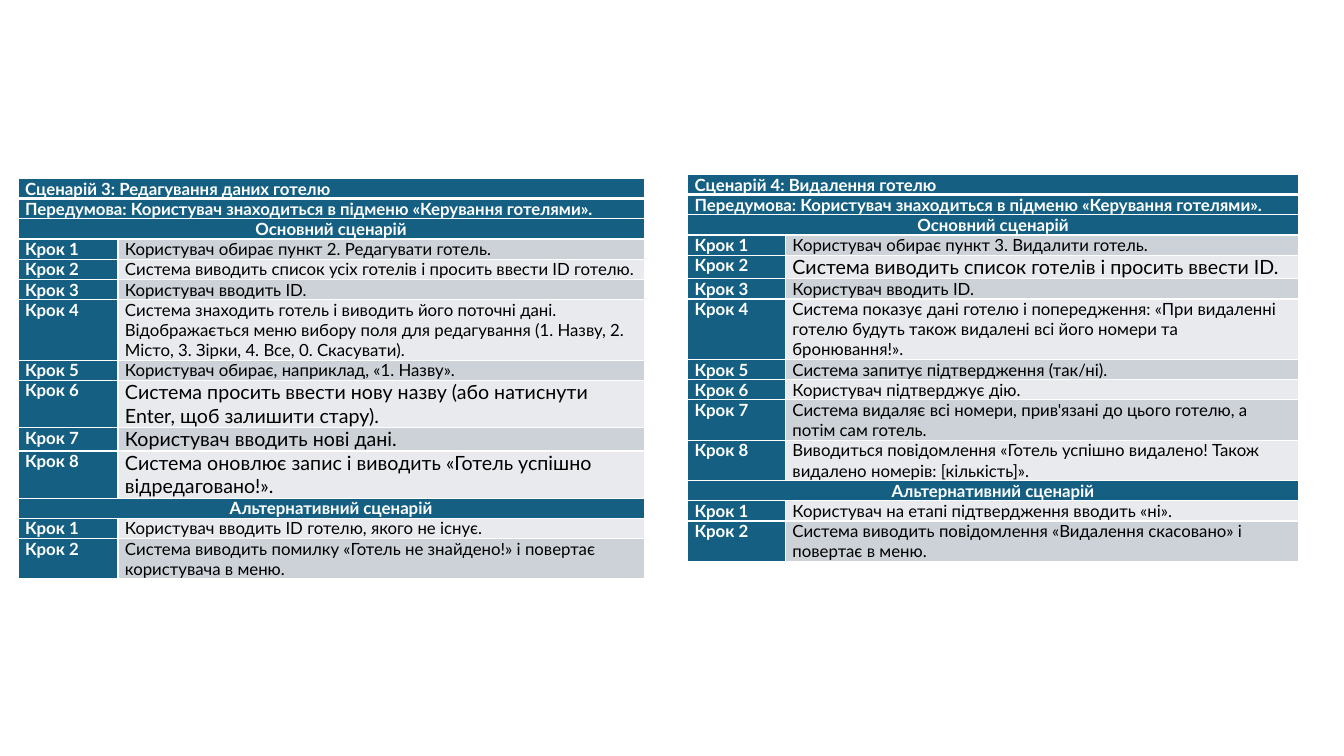
from lxml.etree import SubElement
from pptx import Presentation
from pptx.dml.color import RGBColor
from pptx.enum.text import PP_ALIGN
from pptx.oxml.ns import qn
from pptx.util import Inches, Pt

TEAL = RGBColor(0x15, 0x60, 0x82)
WHITE = RGBColor(0xFF, 0xFF, 0xFF)
BLACK = RGBColor(0x00, 0x00, 0x00)
BAND_DARK = RGBColor(0xCC, 0xD2, 0xD8)
BAND_LIGHT = RGBColor(0xE8, 0xEA, 0xED)

FONT = "Lato"
PRECONDITION = "Передумова: Користувач знаходиться в підменю «Керування готелями»."

EDIT_TITLE = "Сценарій 3: Редагування даних готелю"
EDIT_MAIN = [
    ("Користувач обирає пункт 2. Редагувати готель.", 12),
    ("Система виводить список усіх готелів і просить ввести ID готелю.", 12),
    ("Користувач вводить ID.", 12),
    ("Система знаходить готель і виводить його поточні дані. Відображається меню "
     "вибору поля для редагування (1. Назву, 2. Місто, 3. Зірки, 4. Все, 0. Скасувати).", 12),
    ("Користувач обирає, наприклад, «1. Назву».", 12),
    ("Система просить ввести нову назву (або натиснути Enter, щоб залишити стару).", 14),
    ("Користувач вводить нові дані.", 14),
    ("Система оновлює запис і виводить «Готель успішно відредаговано!».", 14),
]
EDIT_ALTERNATIVE = [
    ("Користувач вводить ID готелю, якого не існує.", 12),
    ("Система виводить помилку «Готель не знайдено!» і повертає користувача в меню.", 12),
]

DELETE_TITLE = "Сценарій 4: Видалення готелю"
DELETE_MAIN = [
    ("Користувач обирає пункт 3. Видалити готель.", 12),
    ("Система виводить список готелів і просить ввести ID.", 14),
    ("Користувач вводить ID.", 12),
    ("Система показує дані готелю і попередження: «При видаленні готелю будуть "
     "також видалені всі його номери та бронювання!».", 12),
    ("Система запитує підтвердження (так/ні).", 12),
    ("Користувач підтверджує дію.", 12),
    ("Система видаляє всі номери, прив'язані до цього готелю, а потім сам готель.", 12),
    ("Виводиться повідомлення «Готель успішно видалено! Також видалено номерів: "
     "[кількість]».", 12),
]
DELETE_ALTERNATIVE = [
    ("Користувач на етапі підтвердження вводить «ні».", 12),
    ("Система виводить повідомлення «Видалення скасовано» і повертає в меню.", 12),
]


def set_borders(cell, top=1, bottom=1):
    properties = cell._tc.get_or_add_tcPr()
    for side, width in (("L", 1), ("R", 1), ("T", top), ("B", bottom)):
        border = SubElement(properties, qn(f"a:ln{side}"), w=str(Pt(width)))
        fill = SubElement(border, qn("a:solidFill"))
        SubElement(fill, qn("a:srgbClr"), val=str(WHITE))


def fill_cell(cell, text, fill, color=WHITE, size=12, bold=True, align=PP_ALIGN.LEFT):
    cell.margin_left = cell.margin_right = Inches(0.07)
    cell.margin_top = cell.margin_bottom = 0
    cell.fill.solid()
    cell.fill.fore_color.rgb = fill
    cell.text_frame.text = text
    paragraph = cell.text_frame.paragraphs[0]
    paragraph.alignment = align
    font = paragraph.runs[0].font
    font.name = FONT
    font.size = Pt(size)
    font.bold = bold
    font.color.rgb = color


def fill_heading(table, row, text, align=PP_ALIGN.LEFT):
    heading = table.cell(row, 0)
    heading.merge(table.cell(row, 1))
    fill_cell(heading, text, TEAL, align=align)


def fill_steps(table, first_row, steps):
    for number, (action, size) in enumerate(steps, 1):
        row = first_row + number - 1
        band = BAND_DARK if row % 2 else BAND_LIGHT
        fill_cell(table.cell(row, 0), f"Крок {number}", TEAL)
        fill_cell(table.cell(row, 1), action, band, BLACK, size, bold=False)


def add_scenario(slide, left, top, height, widths, title, main_steps, alternative_steps):
    alternative_row = 3 + len(main_steps)
    row_count = alternative_row + 1 + len(alternative_steps)
    frame = slide.shapes.add_table(
        row_count, 2, Inches(left), Inches(top), Inches(sum(widths)), Inches(height))
    table = frame.table
    for column, width in zip(table.columns, widths):
        column.width = Inches(width)
    for index, row in enumerate(table.rows):
        row.height = Inches(0.2)
        for cell in row.cells:
            set_borders(cell, top=3 if index == 1 else 1, bottom=3 if index == 0 else 1)
    frame.height = Inches(height)

    fill_heading(table, 0, title)
    fill_heading(table, 1, PRECONDITION)
    fill_heading(table, 2, "Основний сценарій", PP_ALIGN.CENTER)
    fill_steps(table, 3, main_steps)
    fill_heading(table, alternative_row, "Альтернативний сценарій", PP_ALIGN.CENTER)
    fill_steps(table, alternative_row + 1, alternative_steps)


def main():
    presentation = Presentation()
    presentation.slide_width = Inches(13.33)
    presentation.slide_height = Inches(7.5)
    slide = presentation.slides.add_slide(presentation.slide_layouts[6])
    add_scenario(slide, 0.18, 1.77, 3.97, (0.99, 5.22),
                 EDIT_TITLE, EDIT_MAIN, EDIT_ALTERNATIVE)
    add_scenario(slide, 6.82, 1.73, 3.63, (0.97, 5.09),
                 DELETE_TITLE, DELETE_MAIN, DELETE_ALTERNATIVE)
    presentation.save("out.pptx")


if __name__ == "__main__":
    main()
